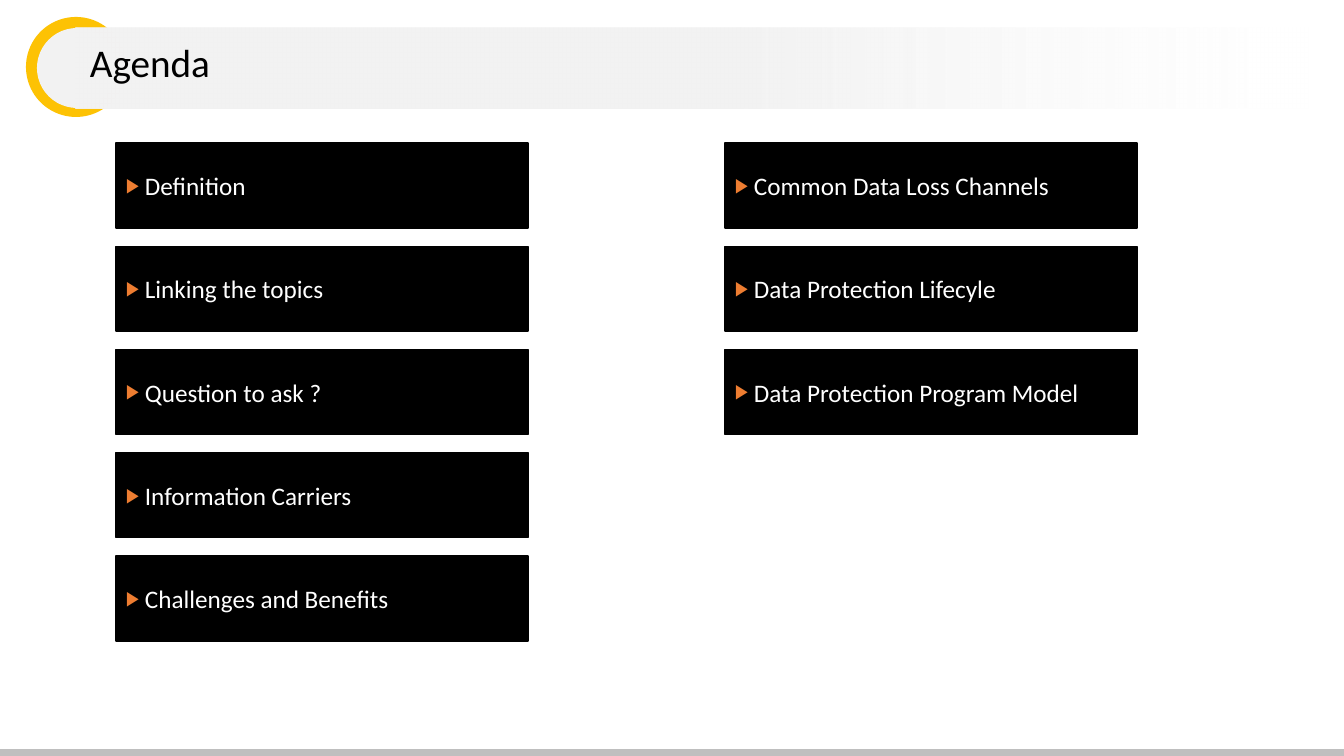
from pptx import Presentation
from pptx.dml.color import RGBColor as RGB
from pptx.enum.shapes import MSO_SHAPE as SHAPE
from pptx.enum.text import MSO_ANCHOR as ANCHOR, PP_ALIGN as ALIGN
from pptx.oxml import parse_xml
from pptx.oxml.ns import nsdecls
from pptx.util import Pt

TITLE = "Agenda"
TOPICS = [
    ["Definition", "Linking the topics", "Question to ask ?",
     "Information Carriers", "Challenges and Benefits"],
    ["Common Data Loss Channels", "Data Protection Lifecyle",
     "Data Protection Program Model"],
]
THEME = {
    "font": "Calibri", "title_size": 28, "topic_size": 18,
    "title": "000000", "box": "000000", "topic": "FFFFFF", "bullet": "ED7D31",
    "ring": "FDC204", "band": "F2F2F2", "footer": "BFBFBF",
    # position %, colour, opacity %, from the right end of the band
    "band_fade": [(3, "FAFAFA", 4), (27, "F6F6F6", 66), (47, "F2F2F2", 100)],
}

# Lengths in px
SLIDE_W, SLIDE_H = 1344, 756
COLUMN_X = [116, 725]
FIRST_Y, LAST_Y = 143, 556
BOX_W, BOX_H = 412, 85
BULLET_INDENT = 19
ROW_STEP = (LAST_Y - FIRST_Y) / (max(map(len, TOPICS)) - 1)
EMU_PER_PX = 914400 / 100.8


def emu(px):
    return round(px * EMU_PER_PX)


def add_shape(slide, kind, box, fill=None, outlined=False):
    """Add a shadowless shape; without a fill colour the fill is left open."""
    sp = slide.shapes.add_shape(kind, *map(emu, box))
    sp.shadow.inherit = False
    if fill:
        sp.fill.solid()
        sp.fill.fore_color.rgb = RGB.from_string(fill)
    if outlined:
        sp.line.color.rgb = RGB.from_string(fill)
        sp.line.width = Pt(1)
    else:
        sp.line.fill.background()
    return sp


def add_text(sp, text, size, color):
    tf = sp.text_frame
    tf.word_wrap = True
    tf.vertical_anchor = ANCHOR.MIDDLE
    p = tf.paragraphs[0]
    r = p.add_run()
    r.text = text
    r.font.name = THEME["font"]
    r.font.size = Pt(size)
    r.font.color.rgb = RGB.from_string(color)
    return p


def fade(sp, stops):
    """Fill a shape with a gradient that runs from right to left."""
    gs = "".join(
        f'<a:gs pos="{pos * 1000}"><a:srgbClr val="{color}">'
        f'<a:alpha val="{opacity * 1000}"/></a:srgbClr></a:gs>'
        for pos, color, opacity in stops)
    sp.element.spPr.find("{*}prstGeom").addnext(parse_xml(
        f'<a:gradFill {nsdecls("a")} rotWithShape="1"><a:gsLst>{gs}</a:gsLst>'
        '<a:lin ang="10800000" scaled="0"/></a:gradFill>'))


def add_bullet(p):
    """Give a paragraph a triangle bullet, hanging indent and relative spacing."""
    pPr = p._p.get_or_add_pPr()
    pPr.set("marL", str(emu(BULLET_INDENT)))
    pPr.set("indent", str(-emu(BULLET_INDENT)))
    for tag, attrs, inner in [
        ("spcBef", "", '<a:spcPct val="30000"/>'),
        ("spcAft", "", '<a:spcPct val="20000"/>'),
        ("buClr", "", f'<a:srgbClr val="{THEME["bullet"]}"/>'),
        ("buSzPct", 'val="80000"', ""),
        ("buFont", 'typeface="Arial"', ""),
        ("buChar", 'char="▶"', ""),
    ]:
        pPr.append(parse_xml(f'<a:{tag} {nsdecls("a")} {attrs}>{inner}</a:{tag}>'))


def add_header(slide):
    add_shape(slide, SHAPE.OVAL, (26, 17, 100, 100), THEME["ring"])
    add_shape(slide, SHAPE.OVAL, (37, 28, 80, 80), THEME["band"])
    band = add_shape(slide, SHAPE.FLOWCHART_PROCESS, (76, 28, 1233, 80))
    fade(band, THEME["band_fade"])
    title = slide.shapes.add_textbox(*map(emu, (80, 27, 1228, 76)))
    p = add_text(title, TITLE, THEME["title_size"], THEME["title"])
    p.line_spacing = 0.9


def add_topics(slide):
    for x, column in zip(COLUMN_X, TOPICS):
        for row, topic in enumerate(column):
            box = (x, FIRST_Y + row * ROW_STEP, BOX_W, BOX_H)
            sp = add_shape(slide, SHAPE.RECTANGLE, box, THEME["box"], outlined=True)
            p = add_text(sp, topic, THEME["topic_size"], THEME["topic"])
            p.alignment = ALIGN.JUSTIFY
            add_bullet(p)


def main():
    prs = Presentation()
    prs.slide_width, prs.slide_height = emu(SLIDE_W), emu(SLIDE_H)
    slide = prs.slides.add_slide(prs.slide_layouts[6])
    add_header(slide)
    add_shape(slide, SHAPE.FLOWCHART_PROCESS, (0, 750, SLIDE_W, 5),
              THEME["footer"], outlined=True)
    add_topics(slide)
    prs.save("out.pptx")


if __name__ == "__main__":
    main()
